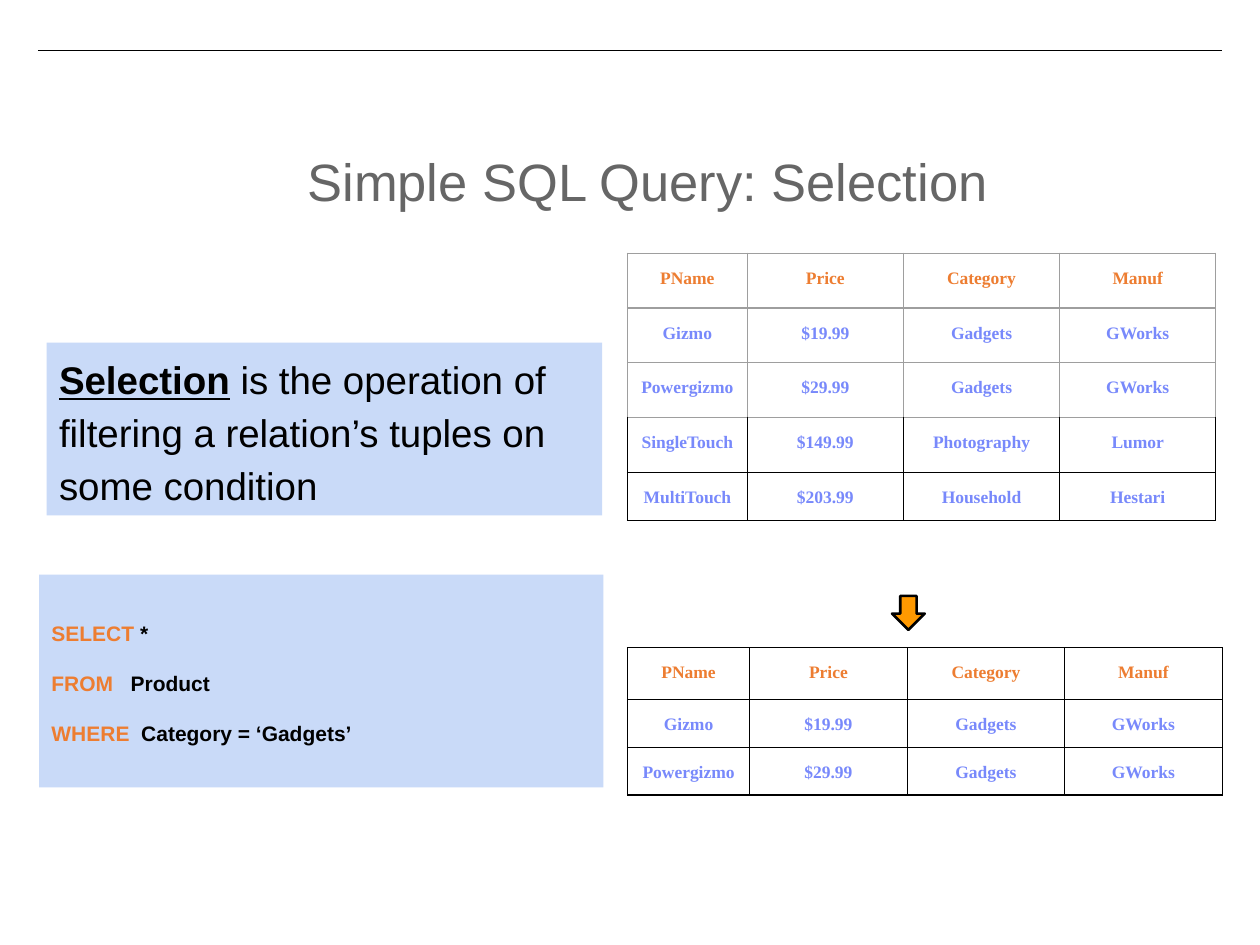
from lxml import etree
from pptx import Presentation
from pptx.dml.color import RGBColor
from pptx.enum.shapes import MSO_CONNECTOR, MSO_SHAPE
from pptx.enum.text import MSO_ANCHOR, MSO_AUTO_SIZE, PP_ALIGN
from pptx.oxml.ns import qn
from pptx.util import Inches, Pt

RECTANGLE, DOWN_ARROW = MSO_SHAPE.RECTANGLE, MSO_SHAPE.DOWN_ARROW
STRAIGHT = MSO_CONNECTOR.STRAIGHT
TOP, MIDDLE = MSO_ANCHOR.TOP, MSO_ANCHOR.MIDDLE
LEFT, CENTER = PP_ALIGN.LEFT, PP_ALIGN.CENTER
NO_AUTOFIT = MSO_AUTO_SIZE.NONE

BLACK, GRAY, TITLE_GRAY = "000000", "9E9E9E", "666666"
ORANGE, PERIWINKLE = "ED7D31", "7889FB"
PALE_BLUE, ARROW_FILL = "C9DAF8", "FF9900"
INSET = Inches(0.1)
LINE_SPACING = 1.15

HEADER = ["PName", "Price", "Category", "Manuf"]
PRODUCTS = [
    ["Gizmo", "$19.99", "Gadgets", "GWorks"],
    ["Powergizmo", "$29.99", "Gadgets", "GWorks"],
    ["SingleTouch", "$149.99", "Photography", "Lumor"],
    ["MultiTouch", "$203.99", "Household", "Hestari"],
]
SELECTED = [product for product in PRODUCTS if product[2] == "Gadgets"]
QUERY = [("SELECT", " *"), ("FROM", "   Product"), ("WHERE", "  Category = ‘Gadgets’")]


def rgb(color):
    return RGBColor.from_string(color)


def add_run(paragraph, text, size, color, font="Arial", bold=False, underline=False):
    run = paragraph.add_run()
    run.text = text
    run.font.name, run.font.size = font, Pt(size)
    run.font.bold, run.font.underline = bold, underline
    run.font.color.rgb = rgb(color)


def set_insets(holder):
    holder.margin_left = holder.margin_right = INSET
    holder.margin_top = holder.margin_bottom = INSET


def add_top_rule(slide, left, top, width):
    rule = slide.shapes.add_connector(STRAIGHT, left, top, left + width, top)
    rule.line.color.rgb = rgb(BLACK)
    rule.line.width = Pt(0.75)
    etree.SubElement(rule._element.spPr, qn("a:effectLst"))


def place_title(slide, left, top, width, height):
    title = slide.shapes.title
    title.left, title.top, title.width, title.height = left, top, width, height
    frame = title.text_frame
    frame.auto_size, frame.vertical_anchor = NO_AUTOFIT, TOP
    set_insets(frame)
    paragraph = frame.paragraphs[0]
    paragraph.alignment, paragraph.line_spacing = LEFT, 1.1
    add_run(paragraph, "Simple SQL Query: Selection", 30, TITLE_GRAY)


def add_panel(slide, left, top, width, height):
    """Add a pale blue box and return its text frame."""
    panel = slide.shapes.add_shape(RECTANGLE, left, top, width, height)
    panel.shadow.inherit = False
    panel.fill.solid()
    panel.fill.fore_color.rgb = rgb(PALE_BLUE)
    panel.line.fill.background()
    frame = panel.text_frame
    frame.word_wrap, frame.vertical_anchor = True, MIDDLE
    set_insets(frame)
    return frame


def add_definition(slide, left, top, width, height):
    paragraph = add_panel(slide, left, top, width, height).paragraphs[0]
    paragraph.alignment, paragraph.line_spacing = LEFT, LINE_SPACING
    add_run(paragraph, "Selection", 22, BLACK, bold=True, underline=True)
    add_run(paragraph, " is the operation of filtering a relation’s tuples on some condition",
            22, BLACK)


def add_query(slide, left, top, width, height):
    frame = add_panel(slide, left, top, width, height)
    for index, (keyword, rest) in enumerate(QUERY):
        paragraph = frame.add_paragraph() if index else frame.paragraphs[0]
        paragraph.alignment, paragraph.line_spacing = LEFT, LINE_SPACING
        if index:
            paragraph.space_before = Pt(12)
        add_run(paragraph, keyword, 12, ORANGE, bold=True)
        add_run(paragraph, rest, 12, BLACK, bold=True)


def set_borders(cell, color, top_color):
    properties = cell._tc.get_or_add_tcPr()
    for side in ("lnL", "lnR", "lnT", "lnB"):
        border = etree.SubElement(properties, qn(f"a:{side}"), w=str(Pt(0.75)))
        fill = etree.SubElement(border, qn("a:solidFill"))
        etree.SubElement(fill, qn("a:srgbClr"), val=top_color if side == "lnT" else color)


def add_relation(slide, left, top, tuples, name_width, column_width, row_heights, gray_rows=0):
    """Add a table of tuples whose first gray_rows rows have gray borders."""
    rows = [HEADER] + tuples
    widths = [name_width] + [column_width] * (len(HEADER) - 1)
    table = slide.shapes.add_table(len(rows), len(HEADER), left, top,
                                   sum(widths), sum(row_heights)).table
    table.first_row = table.horz_banding = False
    for column, width in zip(table.columns, widths):
        column.width = width
    for row_index, values in enumerate(rows):
        table.rows[row_index].height = row_heights[row_index]
        border = GRAY if row_index < gray_rows else BLACK
        top_border = GRAY if row_index <= gray_rows and gray_rows else BLACK
        for column_index, value in enumerate(values):
            cell = table.cell(row_index, column_index)
            set_insets(cell)
            set_borders(cell, border, top_border)
            cell.fill.background()
            paragraph = cell.text_frame.paragraphs[0]
            paragraph.alignment, paragraph.line_spacing = CENTER, LINE_SPACING
            add_run(paragraph, value, 10, PERIWINKLE if row_index else ORANGE,
                    "Times New Roman", bold=True)


def add_result_arrow(slide, left, top, width, height):
    arrow = slide.shapes.add_shape(DOWN_ARROW, left, top, width, height)
    arrow.shadow.inherit = False
    arrow.fill.solid()
    arrow.fill.fore_color.rgb = rgb(ARROW_FILL)
    arrow.line.color.rgb = rgb(BLACK)
    arrow.line.width = Pt(1.5)


def main():
    deck = Presentation()
    deck.slide_width, deck.slide_height = Inches(10), Inches(7.5)
    slide = deck.slides.add_slide(deck.slide_layouts[5])
    tables_left = Inches(4.98)

    add_top_rule(slide, Inches(0.3), Inches(0.4), Inches(9.4))
    place_title(slide, Inches(2.34), Inches(1.03), Inches(8.46), Inches(0.87))
    add_relation(slide, tables_left, Inches(2.01), PRODUCTS, Inches(0.95), Inches(1.24),
                 [Inches(0.435)] * 4 + [Inches(0.38)], gray_rows=3)
    add_definition(slide, Inches(0.37), Inches(2.72), Inches(4.41), Inches(1.37))
    add_query(slide, Inches(0.31), Inches(4.56), Inches(4.48), Inches(1.69))
    add_relation(slide, tables_left, Inches(5.14), SELECTED, Inches(0.97), Inches(1.25),
                 [Inches(0.41)] + [Inches(0.38)] * 2)
    add_result_arrow(slide, Inches(7.08), Inches(4.73), Inches(0.26), Inches(0.27))
    deck.save("out.pptx")


if __name__ == "__main__":
    main()
